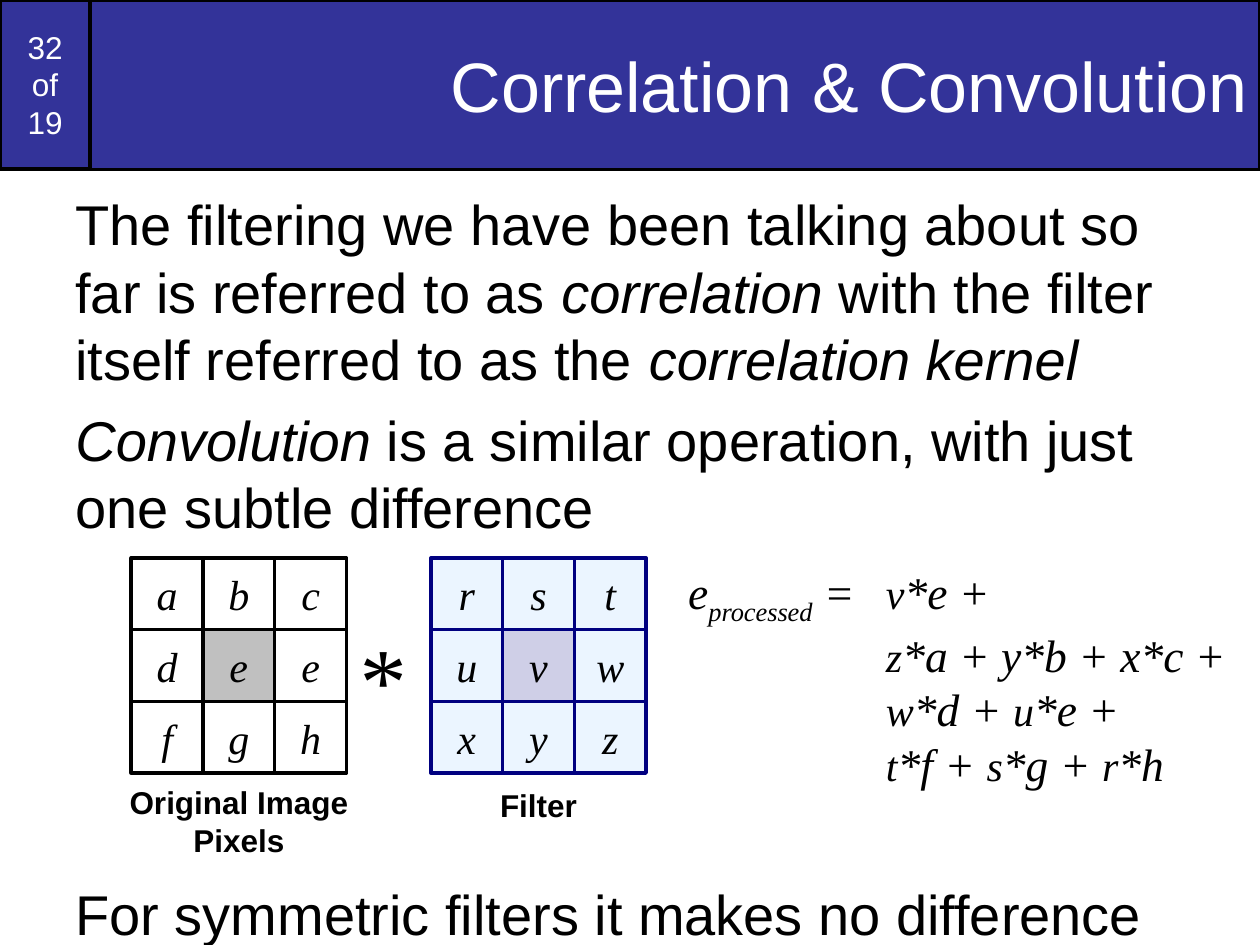
"""Build the Correlation & Convolution slide."""
from lxml import etree
from pptx import Presentation
from pptx.dml.color import RGBColor
from pptx.enum.shapes import MSO_SHAPE
from pptx.enum.text import MSO_ANCHOR, PP_ALIGN
from pptx.oxml.ns import qn
from pptx.util import Pt

RECTANGLE = MSO_SHAPE.RECTANGLE
TOP, MIDDLE = MSO_ANCHOR.TOP, MSO_ANCHOR.MIDDLE
LEFT, CENTER, RIGHT = PP_ALIGN.LEFT, PP_ALIGN.CENTER, PP_ALIGN.RIGHT
BLACK = RGBColor(0x00, 0x00, 0x00)
WHITE = RGBColor(0xFF, 0xFF, 0xFF)
INDIGO = RGBColor(0x33, 0x33, 0x99)
NAVY = RGBColor(0x00, 0x00, 0x80)
SKY = RGBColor(0x99, 0xCC, 0xFF)
GRAY = RGBColor(0xC0, 0xC0, 0xC0)
SANS, SERIF = "Arial", "Times New Roman"

PLAIN, ITALIC = {"italic": False}, {"italic": True}
SMALL = {"size": Pt(24)}
SUBSCRIPT = {"baseline": "-25000"}

HEADERS = [
    ("32\nof\n19", (0, 0, 51.6, 96.5), 18, CENTER),
    ("Correlation & Convolution", (51.6, 0, 668.4, 97), 40, RIGHT),
]
BODY = [
    (0, [
        ("The filtering we have been talking about so far is referred to as ", PLAIN),
        ("correlation ", ITALIC),
        ("with the filter itself referred to as the ", PLAIN),
        ("correlation kernel", ITALIC),
    ]),
    (8, [
        ("Convolution", ITALIC),
        (" is a similar operation, with just one subtle difference", PLAIN),
    ]),
    (194, [("For symmetric filters it makes no difference", PLAIN)]),
]
EQUATION = [
    ("e", {}), ("processed", SUBSCRIPT), (" = \t", {}), ("v", SMALL),
    ("*e +\n\t", {}), ("z", SMALL), ("*a + y*b + x*c +\n\t", {}),
    ("w", SMALL), ("*d + ", {}), ("u", SMALL), ("*e +\n\t", {}),
    ("t", SMALL), ("*f + ", {}), ("s", SMALL), ("*g + ", {}),
    ("r", SMALL), ("*h", {}),
]
GRIDS = [
    {"letters": ["rst", "uvw", "xyz"], "left": 246.25, "fill": SKY, "middle": NAVY,
     "line": NAVY, "alpha": 19, "caption": "Filter", "caption_at": (236.2, 445.5, 143, 29)},
    {"letters": ["abc", "dee", "fgh"], "left": 75, "fill": WHITE, "middle": GRAY,
     "line": BLACK, "alpha": 100, "caption": "Original Image Pixels",
     "caption_at": (65, 444, 143, 50)},
]
GRID_TOP, CELL = 318.8, 41


def write(box, paragraphs, font, size, color=BLACK, align=LEFT, anchor=TOP,
          bold=False, italic=None):
    frame = box.text_frame
    frame.word_wrap = True
    frame.vertical_anchor = anchor
    for index, (gap, spans) in enumerate(paragraphs):
        para = frame.add_paragraph() if index else frame.paragraphs[0]
        para.alignment = align
        para.space_before = Pt(gap)
        para.font.name, para.font.size, para.font.bold = font, Pt(size), bold
        para.font.italic = italic
        para.font.color.rgb = color
        for text, style in spans:
            for number, piece in enumerate(text.split("\n")):
                if number:
                    para.add_line_break()
                span = para.add_run()
                span.text = piece
                for key, value in style.items():
                    if key == "baseline":
                        span.font._element.set(key, value)
                    else:
                        setattr(span.font, key, value)


def single(text):
    return [(0, [(text, {})])]


def add_text(page, place, paragraphs, font, size, **options):
    box = page.shapes.add_textbox(*map(Pt, place))
    write(box, paragraphs, font, size, **options)
    return box


def add_rectangle(page, place, fill, line, alpha=100):
    box = page.shapes.add_shape(RECTANGLE, *map(Pt, place))
    box.shadow.inherit = False
    box.fill.solid()
    box.fill.fore_color.rgb = fill
    box.line.color.rgb = line
    box.line.width = Pt(2)
    if alpha < 100:
        color = box._element.spPr.find(qn("a:solidFill"))[0]
        etree.SubElement(color, qn("a:alpha")).set("val", str(alpha * 1000))
    return box


def add_grid(page, grid):
    for row, letters in enumerate(grid["letters"]):
        for column, letter in enumerate(letters):
            place = (grid["left"] + column * CELL, GRID_TOP + row * CELL, CELL, CELL)
            fill = grid["middle"] if row == column == 1 else grid["fill"]
            box = add_rectangle(page, place, fill, grid["line"], grid["alpha"])
            write(box, single(letter), SERIF, 24, align=CENTER, anchor=MIDDLE, italic=True)
    add_text(page, grid["caption_at"], single(grid["caption"]), SANS, 18,
             align=CENTER, bold=True)


def add_equation(page):
    box = add_text(page, (386.2, 319, 328, 136), [(0, EQUATION)], SERIF, 26, italic=True)
    properties = box.text_frame.paragraphs[0]._p.get_or_add_pPr()
    tabs = etree.Element(qn("a:tabLst"))
    etree.SubElement(tabs, qn("a:tab"), pos=str(Pt(113)), algn="l")
    properties.find(qn("a:defRPr")).addprevious(tabs)


def main():
    deck = Presentation()
    deck.slide_width, deck.slide_height = Pt(720), Pt(540)
    page = deck.slides.add_slide(deck.slide_layouts[6])
    for text, place, size, align in HEADERS:
        box = add_rectangle(page, place, INDIGO, BLACK)
        write(box, single(text), SANS, size, color=WHITE, align=align, anchor=MIDDLE)
    add_text(page, (36, 105, 648, 451), BODY, SANS, 32)
    add_equation(page)
    for grid in GRIDS:
        add_grid(page, grid)
    add_text(page, (196, 350.5, 41, 72), single("*"), SERIF, 54, align=CENTER, italic=True)
    deck.save("out.pptx")


if __name__ == "__main__":
    main()
